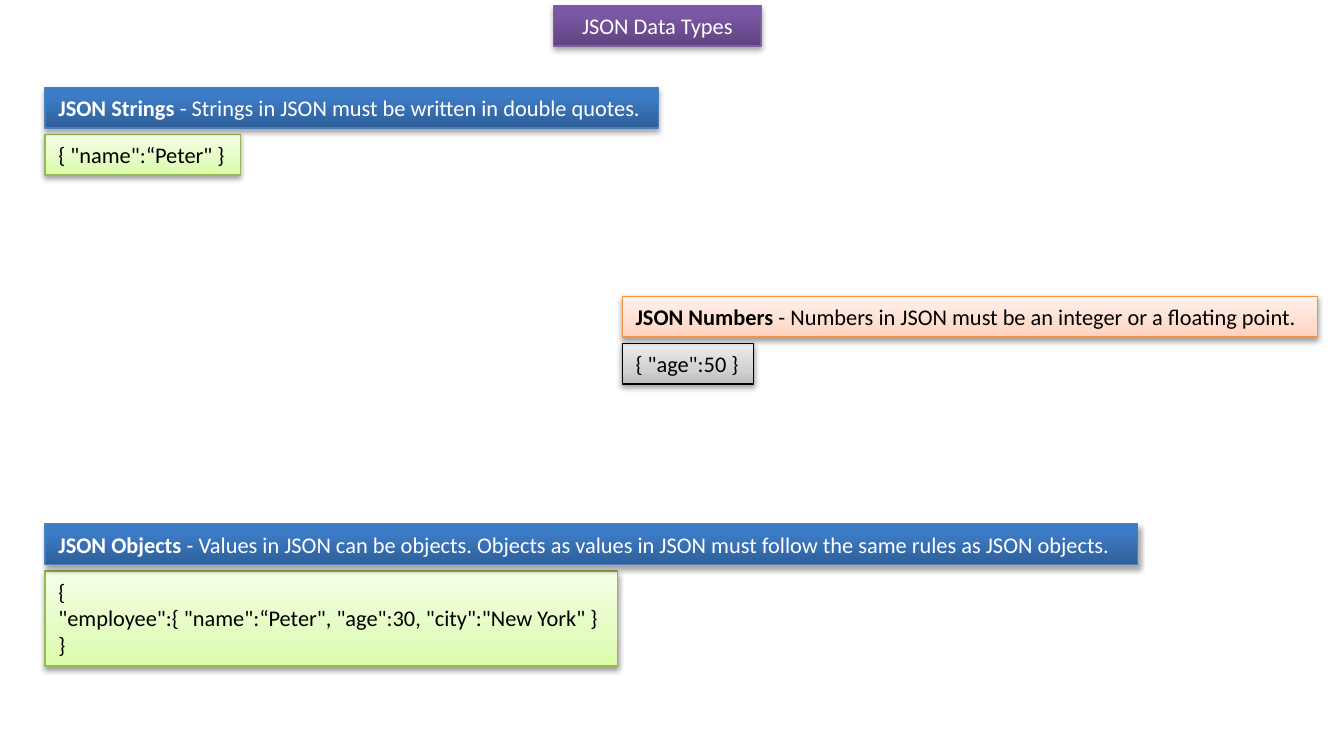
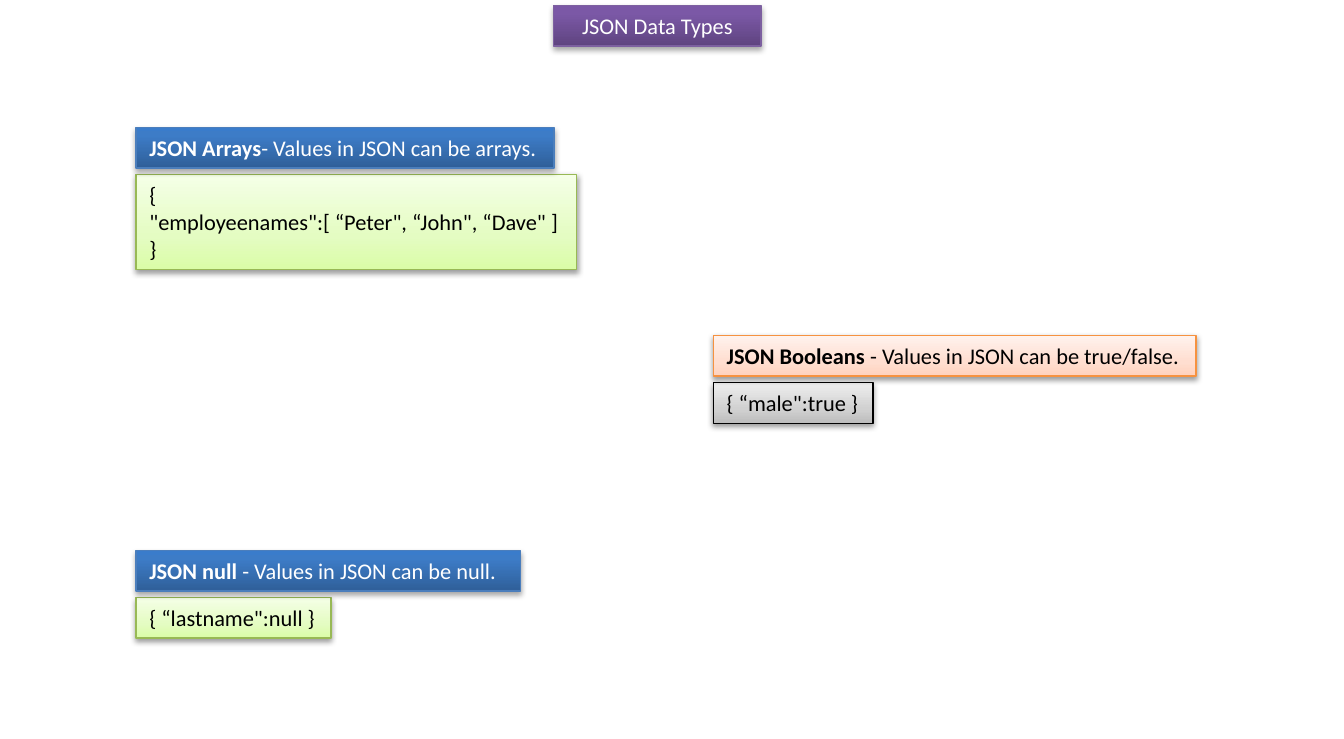
from copy import deepcopy
from lxml.etree import SubElement
from pptx import Presentation
from pptx.dml.color import RGBColor
from pptx.enum.text import MSO_ANCHOR, MSO_AUTO_SIZE as AutoSize, PP_ALIGN as Align
from pptx.oxml import parse_xml
from pptx.oxml.ns import nsdecls, qn
from pptx.util import Pt

FONT_SIZE = 12
BAR_HEIGHT = 21.8
LINE_HEIGHT = 14.6
CODE_OFFSET = 25.2
TITLE_BOX = (296.6, 2.9, 111.2)
FONT = {"name": "Calibri", "size": Pt(FONT_SIZE)}
FRAME = {"auto_size": AutoSize.SHAPE_TO_FIT_TEXT, "vertical_anchor": MSO_ANCHOR.TOP}

STRONG_SHADOW = {"alpha": 35000, "distance": 1.8}
SOFT_SHADOW = {"alpha": 38000, "distance": 1.6}


def theme(stops, middle, line, text, shadow):
    return {"stops": list(zip((0, middle, 1), stops)), "line": line,
            "text": text, "shadow": shadow}


PURPLE = theme(("5F4480", "7B58A6", "7C57A8"), 0.8, "7D60A0", "FFFFFF", STRONG_SHADOW)
BLUE = theme(("2F5F99", "3D7CC7", "3A7CCB"), 0.8, "4B7EBC", "FFFFFF", STRONG_SHADOW)
GREEN = theme(("DAFDA7", "E4FCC2", "F5FFE7"), 0.35, "98B955", "000000", SOFT_SHADOW)
ORANGE = theme(("FFD2BD", "FFDED0", "FFF2ED"), 0.35, "F69240", "000000", SOFT_SHADOW)
GRAY = theme(("BDBDBD", "D1D1D1", "EEEEEE"), 0.35, "000000", "000000", SOFT_SHADOW)
LEFT_THEMES = (BLUE, GREEN)
RIGHT_THEMES = (ORANGE, GRAY)

SLIDES = [
    [
        (24.2, 46.8, LEFT_THEMES, 328.6, "JSON Strings ",
         "- Strings in JSON must be written in double quotes.",
         104.6, "{ \"name\":“Peter\" }"),
        (333.4, 158.8, RIGHT_THEMES, 372.3, "JSON Numbers",
         " - Numbers in JSON must be an integer or a floating point.",
         70.4, "{ \"age\":50 }"),
        (24.2, 280.8, LEFT_THEMES, 585.3, "JSON Objects",
         " - Values in JSON can be objects. Objects as values in JSON "
         "must follow the same rules as JSON objects.",
         306.7, "{\n\"employee\":{ \"name\":“Peter\", \"age\":30, "
         "\"city\":\"New York\" }\n}"),
    ],
    [
        (72.9, 68.2, LEFT_THEMES, 223.9, "JSON Arrays", "- Values in JSON can be arrays.",
         236.1, "{\n\"employeenames\":[ “Peter\", “John\", “Dave\" ]\n}"),
        (382.2, 179.8, RIGHT_THEMES, 258.6, "JSON Booleans",
         " - Values in JSON can be true/false.",
         85.6, "{ “male\":true }"),
        (72.9, 295, LEFT_THEMES, 205.9, "JSON null", " - Values in JSON can be null.",
         104.4, "{ “lastname\":null }"),
    ],
]


def rgb(value):
    return RGBColor.from_string(value)


def apply(target, values):
    for name, value in values.items():
        setattr(target, name, value)


def paint(box, look):
    box.fill.gradient()
    box.fill.gradient_angle = 90
    stop_list = box._element.spPr.find(".//" + qn("a:gsLst"))
    stop_list.append(deepcopy(stop_list[-1]))
    for stop, (position, color) in zip(box.fill.gradient_stops, look["stops"]):
        stop.position = position
        stop.color.rgb = rgb(color)
    box.line.color.rgb = rgb(look["line"])
    box.line.width = Pt(0.75)
    shadow = look["shadow"]
    box._element.spPr.append(parse_xml(
        f'<a:effectLst {nsdecls("a")}><a:outerShdw blurRad="{Pt(3.1)}" '
        f'dist="{Pt(shadow["distance"])}" dir="5400000" rotWithShape="0">'
        f'<a:srgbClr val="000000"><a:alpha val="{shadow["alpha"]}"/></a:srgbClr>'
        '</a:outerShdw></a:effectLst>'))


def add_panel(slide, left, top, width, look, text, lead="", wrap=False, align=Align.LEFT):
    height = BAR_HEIGHT + LINE_HEIGHT * text.count("\n")
    panel = slide.shapes.add_textbox(Pt(left), Pt(top), Pt(width), Pt(height))
    paint(panel, look)
    apply(panel.text_frame, FRAME | {"word_wrap": wrap})
    paragraph = panel.text_frame.paragraphs[0]
    paragraph.text = lead + text if not lead else lead
    paragraph.alignment = align
    if lead:
        paragraph.runs[0].font.bold = True
        paragraph.add_run().text = text
    for run in paragraph.runs:
        apply(run.font, FONT)
        run.font.color.rgb = rgb(look["text"])
    for line_break in paragraph._p.findall(qn("a:br")):
        SubElement(line_break, qn("a:rPr"), sz=str(FONT_SIZE * 100))


def add_topic(slide, left, top, themes, bar_width, term, rule, code_width, code):
    bar_theme, code_theme = themes
    add_panel(slide, left, top + CODE_OFFSET, code_width, code_theme, code)
    add_panel(slide, left, top, bar_width, bar_theme, rule, lead=term)


def add_types_slide(deck, topics):
    slide = deck.slides.add_slide(deck.slide_layouts[6])
    add_panel(slide, *TITLE_BOX, PURPLE, "JSON Data Types", wrap=True, align=Align.CENTER)
    for topic in topics:
        add_topic(slide, *topic)


def main():
    deck = Presentation()
    apply(deck, {"slide_width": Pt(720), "slide_height": Pt(396)})
    for topics in SLIDES:
        add_types_slide(deck, topics)
    deck.save("out.pptx")


if __name__ == "__main__":
    main()
